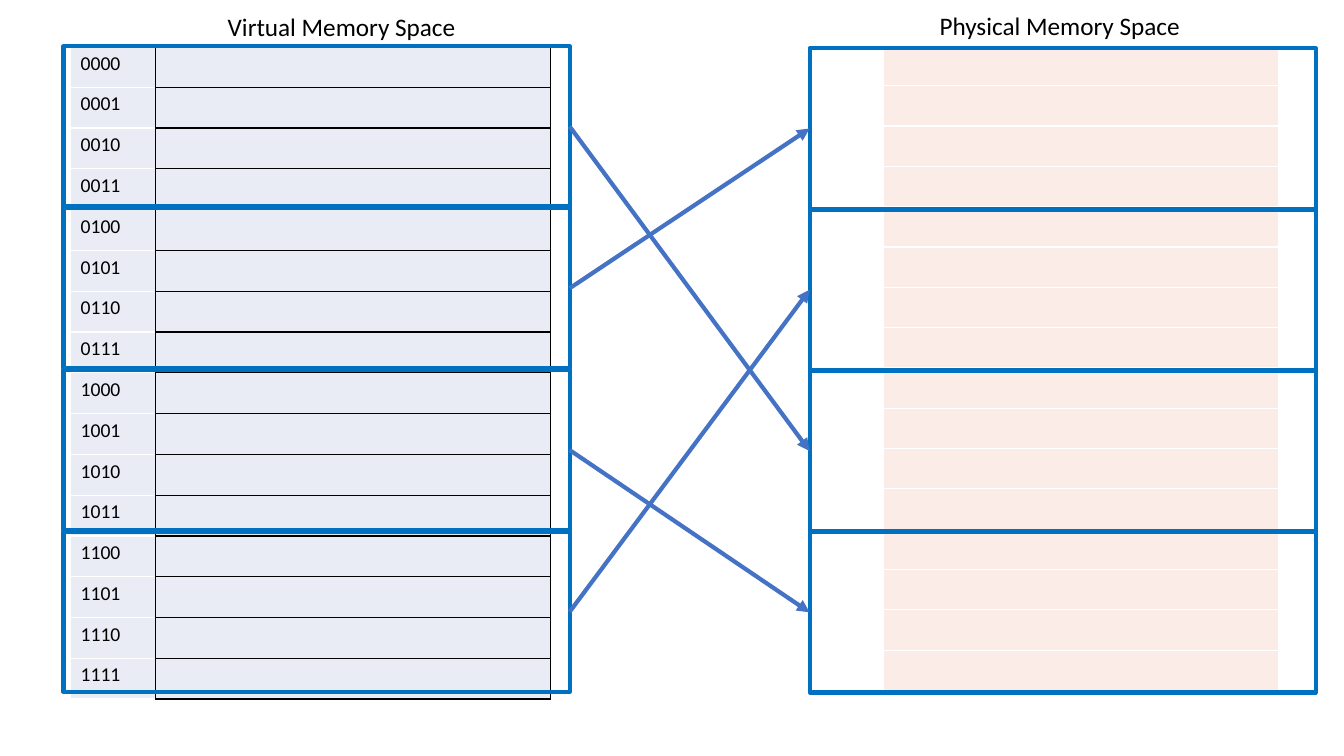
from lxml import etree
from pptx import Presentation
from pptx.dml.color import RGBColor
from pptx.enum.shapes import MSO_CONNECTOR, MSO_SHAPE
from pptx.enum.text import MSO_ANCHOR, MSO_AUTO_SIZE
from pptx.oxml.ns import qn
from pptx.util import Inches, Pt

RECTANGLE = MSO_SHAPE.RECTANGLE
STRAIGHT = MSO_CONNECTOR.STRAIGHT
TOP = MSO_ANCHOR.TOP
FIT_SHAPE = MSO_AUTO_SIZE.SHAPE_TO_FIT_TEXT
LEFT_SITE, RIGHT_SITE = 1, 3

# Content
ADDRESSES = [f"{number:04b}" for number in range(16)]
TITLES = [
    ("Virtual Memory Space", 2.16, 0.06, 2.49),
    ("Physical Memory Space", 9.22, 0.05, 2.61),
]
PAGE_TO_FRAME = {0: 2, 1: 0, 2: 3, 3: 1}
COLORS = {
    "text": "000000",
    "grid": "000000",
    "gap": "FFFFFF",
    "virtual": "E9EBF5",
    "physical": "FCECE8",
    "frame": "0070C0",
    "arrow": "4472C4",
}
FONT = "Calibri"


def color(name):
    return RGBColor.from_string(COLORS[name])


def write(text_frame, text, size):
    span = text_frame.paragraphs[0].add_run()
    span.text = text
    span.font.name = FONT
    span.font.size = Pt(size)
    span.font.color.rgb = color("text")


def style_cell(cell, fill, **borders):
    """Borders are given as left, right, top and bottom colour names."""
    properties = cell._tc.get_or_add_tcPr()
    for side in ("left", "right", "top", "bottom"):
        edge = etree.SubElement(properties, qn(f"a:ln{side[0].upper()}"), w=str(Pt(1)))
        solid = etree.SubElement(edge, qn("a:solidFill"))
        etree.SubElement(solid, qn("a:srgbClr"), val=COLORS[borders[side]])
    cell.fill.solid()
    cell.fill.fore_color.rgb = color(fill)
    cell.vertical_anchor = TOP


def add_memory(left, top, widths, height):
    rows = len(ADDRESSES)
    table = page.shapes.add_table(
        rows, len(widths), Inches(left), Inches(top),
        Inches(sum(widths)), Inches(height)).table
    table.first_row = table.horz_banding = False
    for column, width in zip(table.columns, widths):
        column.width = Inches(width)
    for row in table.rows:
        row.height = Inches(height / rows)
        # Empty cells need no padding
        row.cells[len(widths) - 1].margin_top = 0
        row.cells[len(widths) - 1].margin_bottom = 0
    return table


def add_frames(left, top, step):
    frames = []
    for index in range(len(PAGE_TO_FRAME)):
        frame = page.shapes.add_shape(
            RECTANGLE, Inches(left), Inches(top + index * step),
            Inches(5.02), Inches(1.59))
        frame.shadow.inherit = False
        frame.fill.background()
        frame.line.color.rgb = color("frame")
        frame.line.width = Pt(3)
        frames.append(frame)
    return frames


deck = Presentation()
deck.slide_width, deck.slide_height = Inches(13.33), Inches(7.5)
page = deck.slides.add_slide(deck.slide_layouts[6])

# Virtual memory with its addresses
virtual = add_memory(0.7, 0.46, [0.84, 3.92], 6.48)
for address, row in zip(ADDRESSES, virtual.rows):
    label, content = row.cells
    write(label.text_frame, address, 14)
    style_cell(label, "virtual", left="gap", right="grid", top="gap", bottom="gap")
    style_cell(content, "virtual", left="grid", right="grid", top="grid", bottom="grid")

# Physical memory
physical = add_memory(8.76, 0.45, [3.92], 6.4)
for row in physical.rows:
    style_cell(row.cells[0], "physical", left="gap", right="gap", top="gap", bottom="gap")

# Titles
for title, left, top, width in TITLES:
    box = page.shapes.add_textbox(Inches(left), Inches(top), Inches(width), Inches(0.4))
    box.text_frame.word_wrap = False
    box.text_frame.auto_size = FIT_SHAPE
    write(box.text_frame, title, 18)

# Pages, frames and the mapping between them
virtual_pages = add_frames(0.63, 0.46, 1.605)
physical_frames = add_frames(8.03, 0.48, 1.6)
for source, target in PAGE_TO_FRAME.items():
    arrow = page.shapes.add_connector(STRAIGHT, 0, 0, 0, 0)
    arrow.begin_connect(virtual_pages[source], RIGHT_SITE)
    arrow.end_connect(physical_frames[target], LEFT_SITE)
    arrow.line.color.rgb = color("arrow")
    arrow.line.width = Pt(3)
    etree.SubElement(arrow.line._get_or_add_ln(), qn("a:tailEnd"), type="triangle")
    etree.SubElement(arrow._element.spPr, qn("a:effectLst"))

deck.save("out.pptx")
